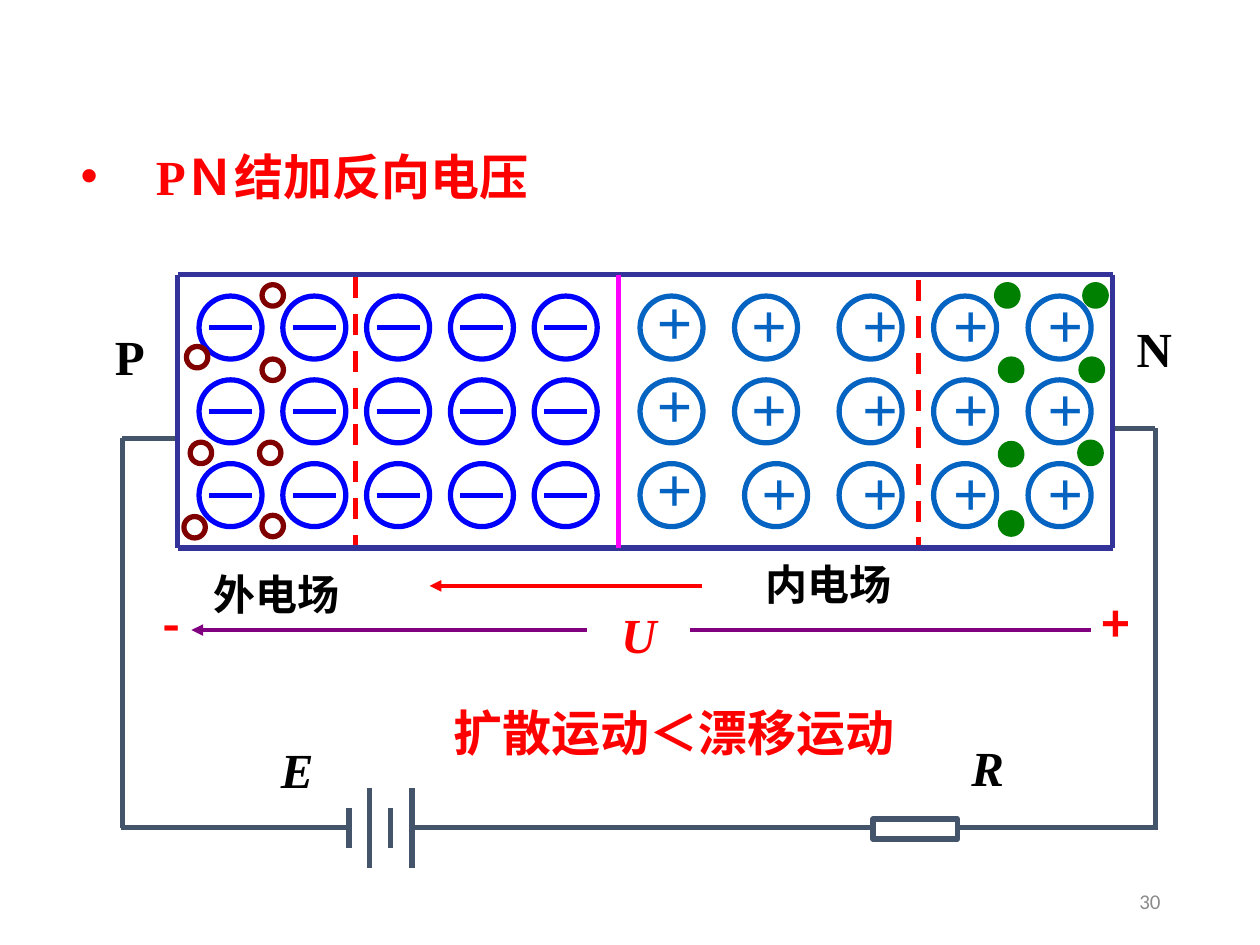
from lxml.etree import SubElement
from pptx import Presentation
from pptx.dml.color import RGBColor
from pptx.enum.dml import MSO_LINE
from pptx.enum.shapes import MSO_CONNECTOR, MSO_SHAPE
from pptx.enum.text import MSO_ANCHOR, MSO_AUTO_SIZE, PP_ALIGN
from pptx.oxml.ns import qn
from pptx.util import Inches, Pt

BLACK = RGBColor(0x00, 0x00, 0x00)
RED = RGBColor(0xFF, 0x00, 0x00)
SLATE = RGBColor(0x44, 0x54, 0x6A)
PURPLE = RGBColor(0x80, 0x00, 0x80)
AZURE = RGBColor(0x05, 0x63, 0xC1)
BLUE = RGBColor(0x00, 0x00, 0xFF)
NAVY = RGBColor(0x33, 0x33, 0x99)
MAGENTA = RGBColor(0xFF, 0x00, 0xFF)
MAROON = RGBColor(0x80, 0x00, 0x00)
GREEN = RGBColor(0x00, 0x80, 0x00)
GRAY = RGBColor(0x8C, 0x8C, 0x8C)

LATIN = "Times New Roman"
CJK = "Noto Sans CJK SC"


def write(box, text, size=28, color=BLACK, font=LATIN, bold=True, italic=False,
          align=PP_ALIGN.CENTER, anchor=MSO_ANCHOR.MIDDLE, wrap=True):
    """Put one formatted paragraph into a shape and return it."""
    frame = box.text_frame
    frame.word_wrap = wrap
    frame.auto_size = MSO_AUTO_SIZE.NONE
    frame.vertical_anchor = anchor
    para = frame.paragraphs[0]
    para.alignment = align
    span = para.add_run()
    span.text = text
    span.font.size = Pt(size)
    span.font.name = font
    span.font.bold = bold
    span.font.italic = italic
    span.font.color.rgb = color
    SubElement(span.font._element, qn("a:ea")).set("typeface", CJK)
    return para


class Diagram:
    """The current slide and the line style shared by its parts."""

    line_width = 3

    def __init__(self, page):
        self.page = page

    def title(self, text, left, top, width, height):
        box = self.page.shapes.title
        box.left, box.top = Inches(left), Inches(top)
        box.width, box.height = Inches(width), Inches(height)
        para = write(box, text, color=RED, align=PP_ALIGN.LEFT, anchor=MSO_ANCHOR.TOP)
        props = para._p.get_or_add_pPr()
        props.set("marL", str(Inches(0.5)))
        props.set("indent", str(-Inches(0.5)))
        SubElement(props, qn("a:buFont")).set("typeface", "Arial")
        SubElement(props, qn("a:buChar")).set("char", "•")

    def label(self, text, left, top, width, height=0.57, **style):
        box = self.page.shapes.add_textbox(
            Inches(left), Inches(top), Inches(width), Inches(height))
        write(box, text, **style)

    def line(self, x1, y1, x2, y2, color, width=line_width, dashed=False, arrow=False):
        line = self.page.shapes.add_connector(
            MSO_CONNECTOR.STRAIGHT, Inches(x1), Inches(y1), Inches(x2), Inches(y2))
        line.line.color.rgb = color
        line.line.width = Pt(width)
        if dashed:
            line.line.dash_style = MSO_LINE.DASH
        if arrow:
            SubElement(line.line._get_or_add_ln(), qn("a:tailEnd")).set("type", "triangle")
        SubElement(line._element.spPr, qn("a:effectLst"))

    def shape(self, kind, left, top, width, height, color, filled=False):
        shape = self.page.shapes.add_shape(
            kind, Inches(left), Inches(top), Inches(width), Inches(height))
        shape.shadow.inherit = False
        shape.line.color.rgb = color
        shape.line.width = Pt(self.line_width)
        if filled:
            shape.fill.solid()
            shape.fill.fore_color.rgb = color
        else:
            shape.fill.background()

    def circle(self, left, top, size, color, filled=False):
        self.shape(MSO_SHAPE.OVAL, left, top, size, size, color, filled)

    def negative_ion(self, left, top):
        self.circle(left, top, 0.5, BLUE)
        self.line(left + 0.08, top + 0.25, left + 0.42, top + 0.25, BLUE)

    def positive_ion(self, left, top, sign_dx, sign_dy):
        self.circle(left, top, 0.5, AZURE)
        self.label("+", left + sign_dx, top + sign_dy, 0.67, 0.7,
                   size=36, color=AZURE, anchor=MSO_ANCHOR.TOP)


def main():
    deck = Presentation()
    deck.slide_width, deck.slide_height = Inches(10), Inches(7.5)
    page = deck.slides.add_slide(deck.slide_layouts[5])
    diagram = Diagram(page)
    diagram.title(" PＮ结加反向电压", 0.54, 1.11, 4.25, 0.57)

    # Depletion layer borders
    diagram.line(2.82, 2.2, 2.82, 4.34, RED, dashed=True)
    diagram.line(7.29, 2.22, 7.29, 4.34, RED, dashed=True)

    # Battery plates, short and long in turn
    wire_y = 6.57
    for x, half in ((2.77, 0.16), (2.93, 0.32), (3.1, 0.16), (3.27, 0.32)):
        diagram.line(x, wire_y - half, x, wire_y + half, SLATE)

    # Circuit wires and resistor
    for ends in ((2.75, wire_y, 0.96, wire_y), (0.97, wire_y, 0.97, 3.48),
                 (0.97, 3.48, 1.41, 3.48), (8.84, 3.4, 9.17, 3.4),
                 (9.17, 3.4, 9.17, 6.59), (3.27, wire_y, 6.94, wire_y),
                 (7.6, wire_y, 9.15, wire_y)):
        diagram.line(*ends, SLATE)
    diagram.shape(MSO_SHAPE.RECTANGLE, 6.93, 6.5, 0.67, 0.16, SLATE)

    # Circuit and region labels
    diagram.label("E", 2.13, 5.82, 0.46, italic=True, wrap=False)
    diagram.label("R", 7.61, 5.8, 0.46, italic=True, wrap=False)
    diagram.label("P", 0.81, 2.54, 0.44, wrap=False)
    diagram.label("N", 8.87, 2.48, 0.58)

    # Inner and outer fields
    diagram.label("内电场", 5.86, 4.38, 1.43, 0.5, size=24)
    diagram.line(5.57, 4.65, 3.41, 4.65, RED, width=2.25, arrow=True)
    diagram.label("外电场", 1.52, 4.46, 1.35, 0.5, size=24)
    for sign, left in (("-", 1.16), ("+", 8.66)):
        diagram.label(sign, left, 4.66, 0.4, color=RED, font=CJK, wrap=False)
    diagram.label("U", 4.83, 4.75, 0.48, color=RED, italic=True, wrap=False)
    diagram.line(4.66, 5, 1.52, 5, PURPLE, width=2.25, arrow=True)
    diagram.line(5.48, 5, 8.66, 5, PURPLE, width=2.25)

    # Ions: (left, sign offset) for each positive column
    positive_columns = ((5.08, -0.06), (5.83, -0.06), (6.66, -0.01),
                        (7.41, -0.04), (8.16, -0.04))
    for row in range(3):
        top = 2.35 + row * 0.665
        for column, (left, sign_dx) in enumerate(positive_columns):
            shift = 0.08 if (row, column) == (2, 1) else 0
            sign_dy = -0.16 if column == 0 else -0.13
            diagram.positive_ion(left + shift, top, sign_dx, sign_dy)
        for column in range(5):
            diagram.negative_ion(1.58 + column * 0.665, top)

    # Semiconductor outline and junction
    left, right, top, bottom = 1.41, 8.83, 2.18, 4.35
    for y in (top, bottom):
        diagram.line(left, y, right, y, NAVY)
    for x, color in ((left, NAVY), (right, NAVY), (4.91, MAGENTA)):
        diagram.line(x, top, x, bottom, color)

    # Holes and free electrons
    holes = ((2.08, 2.26), (1.48, 2.75), (2.08, 2.85), (1.51, 3.51),
             (2.06, 3.51), (2.08, 4.09), (1.46, 4.1))
    electrons = ((7.91, 2.26), (8.61, 2.26), (7.94, 2.85), (8.58, 2.85),
                 (7.94, 3.52), (8.57, 3.51), (7.94, 4.07))
    for x, y in holes:
        diagram.circle(x, y, 0.17, MAROON)
    for x, y in electrons:
        diagram.circle(x, y, 0.17, GREEN, filled=True)

    # Conclusion and page number
    diagram.label("扩散运动＜漂移运动", 3.38, 5.53, 3.94, color=RED, anchor=MSO_ANCHOR.TOP)
    diagram.label("30", 7.06, 6.95, 2.25, 0.4, size=12, color=GRAY,
                  font="Calibri", bold=False, align=PP_ALIGN.RIGHT)

    deck.save("out.pptx")


if __name__ == "__main__":
    main()
